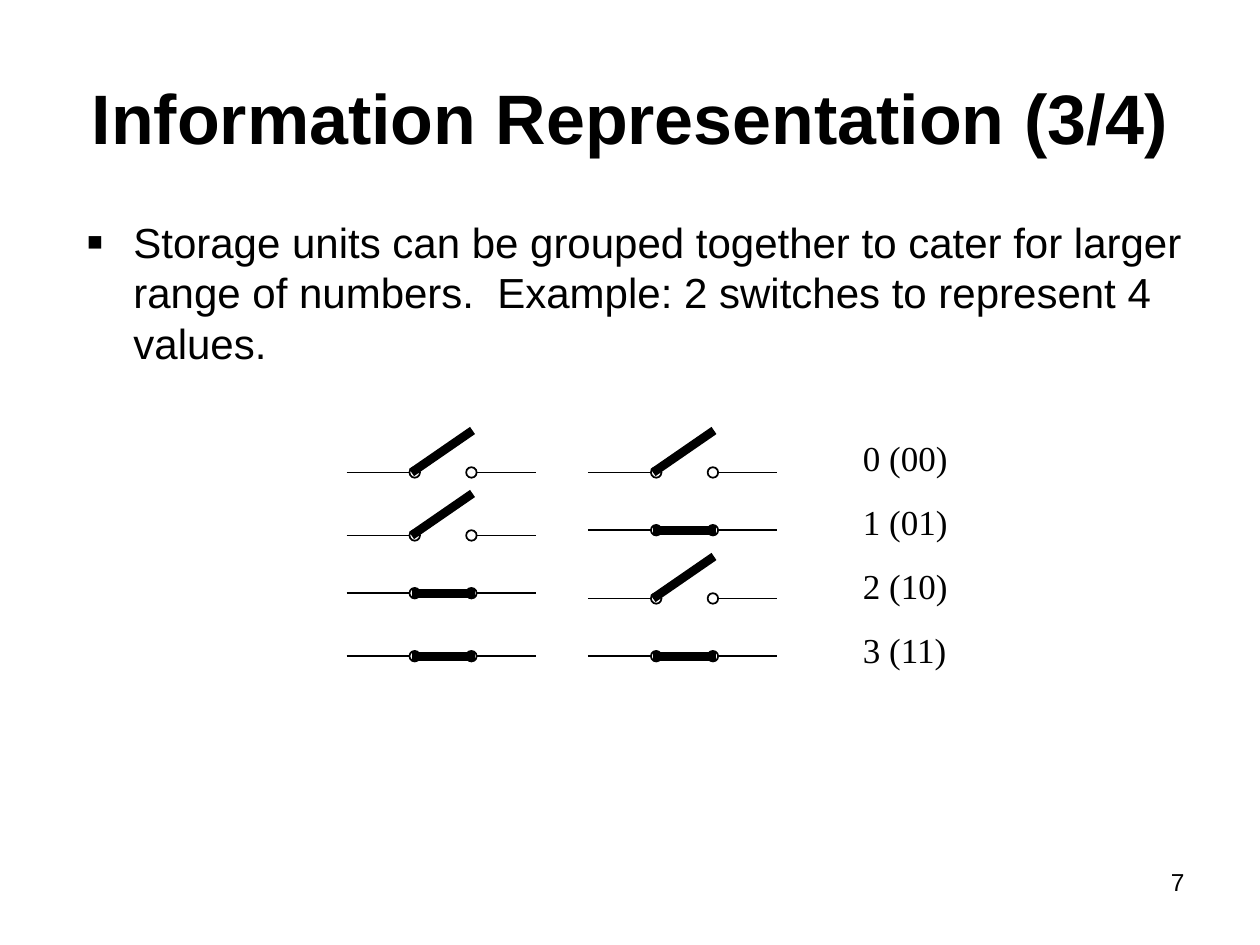
from dataclasses import dataclass

from lxml import etree
from pptx import Presentation
from pptx.dml.color import RGBColor
from pptx.enum.shapes import MSO_CONNECTOR, MSO_SHAPE
from pptx.enum.text import MSO_ANCHOR, MSO_AUTO_SIZE, PP_ALIGN
from pptx.oxml.ns import qn
from pptx.util import Pt

PX = 7620  # EMU; 120 px to the inch
LEFT, CENTER, RIGHT = PP_ALIGN.LEFT, PP_ALIGN.CENTER, PP_ALIGN.RIGHT
TOP, MIDDLE = MSO_ANCHOR.TOP, MSO_ANCHOR.MIDDLE
FIXED = MSO_AUTO_SIZE.NONE
OVAL = MSO_SHAPE.OVAL
STRAIGHT = MSO_CONNECTOR.STRAIGHT


@dataclass(frozen=True)
class Theme:
    ink: RGBColor = RGBColor(0, 0, 0)
    paper: RGBColor = RGBColor(255, 255, 255)
    sans: str = "Arial"
    serif: str = "Times New Roman"
    title: int = 40
    body: int = 24
    label: int = 20
    page: int = 14
    wire: int = 1
    lever: int = 5


class Deck:
    def __init__(self, theme):
        self.theme = theme
        self.prs = Presentation()
        self.prs.slide_width, self.prs.slide_height = 1200 * PX, 900 * PX
        self.slide = self.prs.slides.add_slide(self.prs.slide_layouts[1])
        self.shapes = self.slide.shapes

    def fill(self, shape, lines, size, font, align=LEFT, anchor=TOP,
             bold=False, gap=0, bullet=None):
        """Put styled lines of text into a shape."""
        frame = shape.text_frame
        frame.word_wrap = True
        frame.auto_size = FIXED
        frame.vertical_anchor = anchor
        frame.text = "\n".join(lines)
        for para in frame.paragraphs:
            para.alignment = align
            para.space_before = Pt(gap)
            if bullet:
                self.mark(para, bullet)
            para.font.size, para.font.name = Pt(size), font
            para.font.bold = bold
            para.font.color.rgb = self.theme.ink

    def mark(self, para, char, indent=45):
        """Give a paragraph a hanging bullet."""
        props = para._p.get_or_add_pPr()
        props.set("marL", str(indent * PX))
        props.set("indent", str(-indent * PX))
        color = etree.SubElement(props, qn("a:buClr"))
        etree.SubElement(color, qn("a:srgbClr"), val=str(self.theme.ink))
        etree.SubElement(props, qn("a:buSzPct"), val="120000")
        etree.SubElement(props, qn("a:buFont"), typeface=self.theme.sans)
        etree.SubElement(props, qn("a:buChar"), char=char)

    def place(self, shape, x, y, w, h):
        shape.left, shape.top = x * PX, y * PX
        shape.width, shape.height = w * PX, h * PX

    def title(self, text, *box):
        shape = self.shapes.title
        self.place(shape, *box)
        self.fill(shape, [text], self.theme.title, self.theme.sans,
                  CENTER, MIDDLE, bold=True)

    def list(self, lines, *box):
        shape = self.slide.placeholders[1]
        self.place(shape, *box)
        self.fill(shape, lines, self.theme.body, self.theme.sans,
                  gap=6, bullet="▪")

    def text(self, lines, box, size, font, **style):
        shape = self.shapes.add_textbox(*(n * PX for n in box))
        self.fill(shape, lines, size, font, **style)

    def line(self, x1, y1, x2, y2, width):
        line = self.shapes.add_connector(
            STRAIGHT, x1 * PX, y1 * PX, x2 * PX, y2 * PX)
        line.line.color.rgb = self.theme.ink
        line.line.width = Pt(width)
        etree.SubElement(line._element.spPr, qn("a:effectLst"))

    def dot(self, x, y, size=10):
        dot = self.shapes.add_shape(
            OVAL, x * PX, (y - size // 2) * PX, size * PX, size * PX)
        dot.shadow.inherit = False
        dot.fill.solid()
        dot.fill.fore_color.rgb = self.theme.paper
        dot.line.color.rgb = self.theme.ink
        dot.line.width = Pt(self.theme.wire)

    def switch(self, x, y, closed):
        """Draw a switch whose wire starts at x, y."""
        for start in (x, x + 120):
            self.line(start, y, start + 60, y, self.theme.wire)
        for left in (x + 60, x + 114):
            self.dot(left, y)
        end = (x + 122, y) if closed else (x + 120, y - 40)
        self.line(x + 62, y, *end, self.theme.lever)


def main():
    theme = Theme()
    deck = Deck(theme)
    deck.title("Information Representation (3/4)", 60, 36, 1080, 150)
    deck.list(["Storage units can be grouped together to cater for larger "
               "range of numbers.  Example: 2 switches to represent 4 "
               "values."], 70, 200, 1074, 157)

    codes = ["00", "01", "10", "11"]
    for row, code in enumerate(codes):
        for x, bit in zip((330, 560), code):
            closed = bit == "1"
            deck.switch(x, (445 if closed else 450) + 60 * row, closed)
    labels = [f"{n} ({code})" for n, code in enumerate(codes)]
    deck.text(labels, (810, 410, 156, 235), theme.label, theme.serif, gap=12.5)
    deck.text(["7"], (860, 820, 280, 62), theme.page, theme.sans, align=RIGHT)
    deck.prs.save("out.pptx")


if __name__ == "__main__":
    main()
